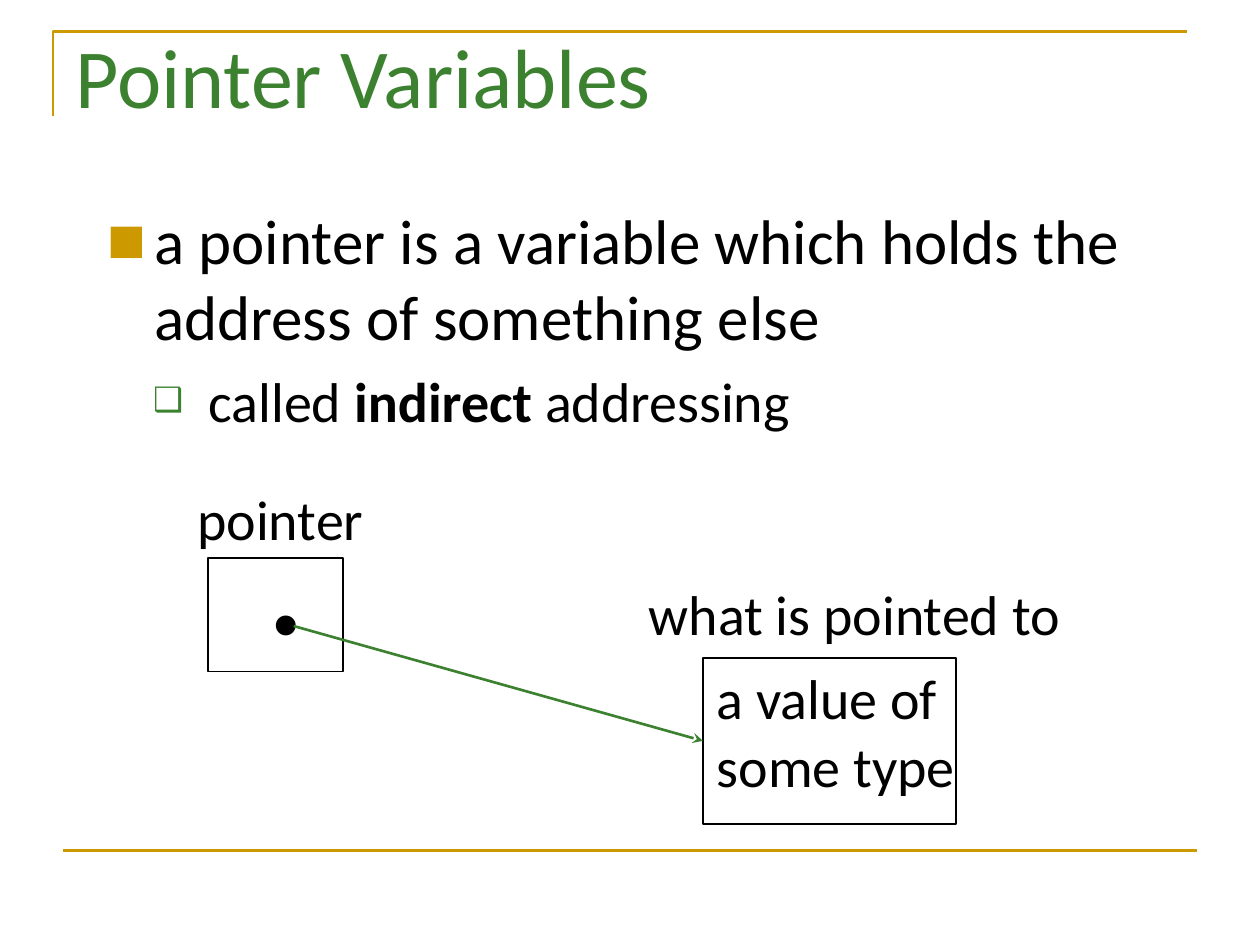
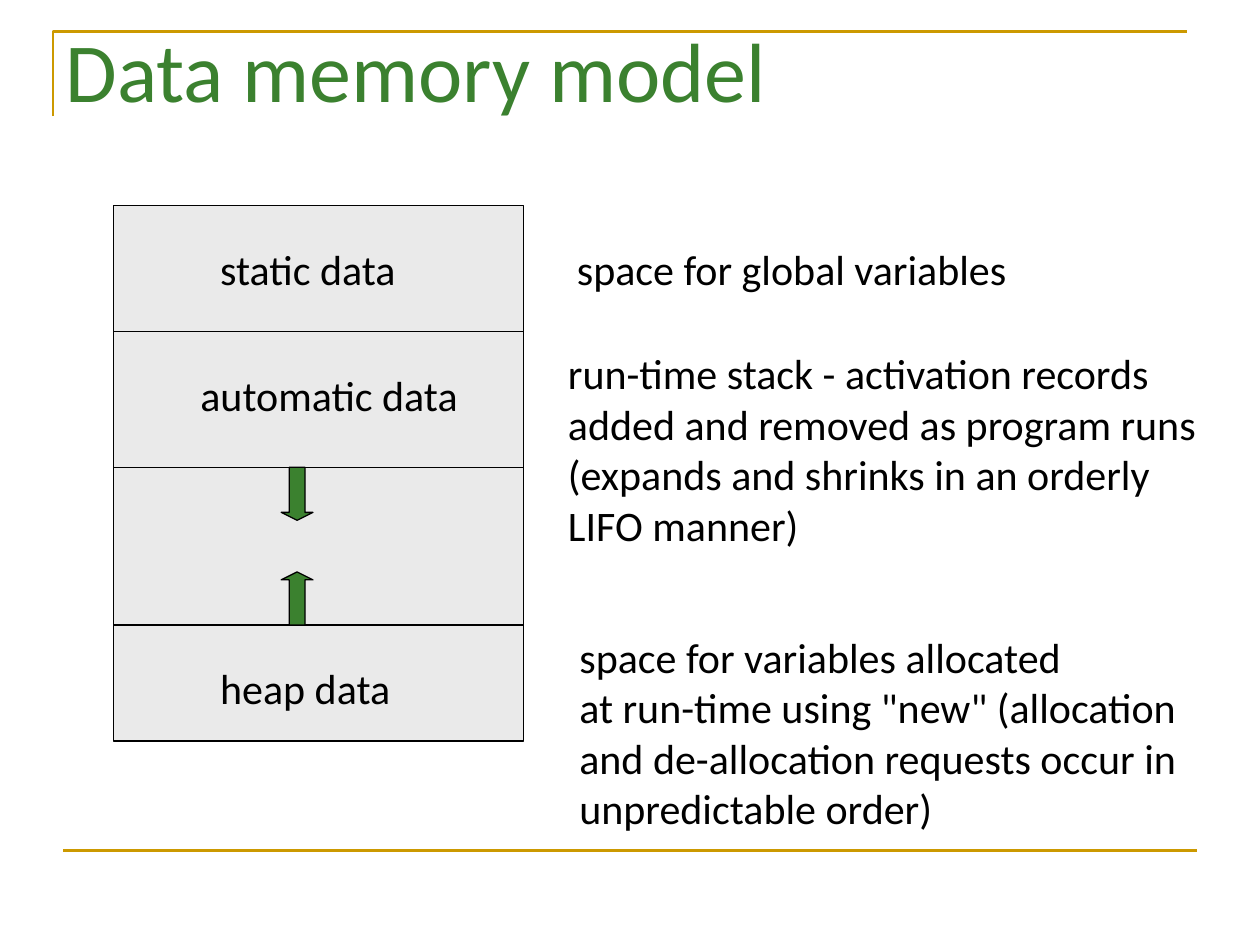
from lxml.etree import SubElement as Sub
from pptx import Presentation
from pptx.dml.color import RGBColor as RGB
from pptx.enum.shapes import MSO_CONNECTOR as Conn, MSO_SHAPE as Shape
from pptx.enum.text import MSO_AUTO_SIZE as Auto, PP_ALIGN as Align
from pptx.oxml.ns import qn
from pptx.util import Cm, Pt

HUES = {"gold": "CC9900", "green": "3B812F", "black": "000000",
        "gray": "EAEAEA"}
FACE = "Calibri"


def hue(name):
    return RGB.from_string(HUES[name])


# Shared building blocks
def add_run(par, text, size, color="black", face=FACE, bold=False):
    run = par.add_run()
    run.text = text
    run.font.size = Pt(size)
    run.font.name = face
    run.font.bold = bold
    run.font.color.rgb = hue(color)


def add_box(slide, x, y, wide, high, wrap=True):
    box = slide.shapes.add_textbox(Cm(x), Cm(y), Cm(wide), Cm(high))
    frame = box.text_frame
    frame.word_wrap = wrap
    frame.auto_size = Auto.NONE if wrap else Auto.SHAPE_TO_FIT_TEXT
    return frame


def add_label(slide, x, y, wide, high, lines, size, align=Align.LEFT):
    frame = add_box(slide, x, y, wide, high, wrap=False)
    for i, line in enumerate(lines):
        par = frame.add_paragraph() if i else frame.paragraphs[0]
        par.alignment = align
        add_run(par, line, size)


def add_bullet(par, mark, color, share, left, hang):
    props = par._p.get_or_add_pPr()
    props.set("marL", str(Cm(left)))
    props.set("indent", str(-Cm(hang)))
    tint = Sub(props, qn("a:buClr"))
    Sub(tint, qn("a:srgbClr"), val=HUES[color])
    Sub(props, qn("a:buSzPct"), val=str(share * 1000))
    Sub(props, qn("a:buFont"), typeface=FACE)
    Sub(props, qn("a:buChar"), char=mark)


def add_form(slide, kind, x, y, wide, high, fill=None, weight=0.75):
    form = slide.shapes.add_shape(kind, Cm(x), Cm(y), Cm(wide), Cm(high))
    form.shadow.inherit = False
    if fill:
        form.fill.solid()
        form.fill.fore_color.rgb = hue(fill)
    else:
        form.fill.background()
    form.line.color.rgb = hue("black")
    form.line.width = Pt(weight)
    return form


def add_line(slide, x1, y1, x2, y2, color, weight):
    line = slide.shapes.add_connector(Conn.STRAIGHT, Cm(x1), Cm(y1),
                                      Cm(x2), Cm(y2))
    line.line.color.rgb = hue(color)
    line.line.width = Pt(weight)
    Sub(line._element.spPr, qn("a:effectLst"))
    return line


# Gold corner, title and foot rule
def add_page(deck, title, x, y, wide):
    slide = deck.slides.add_slide(deck.slide_layouts[6])
    left, top = Cm(1.07), Cm(0.64)
    pen = slide.shapes.build_freeform(left, top + Cm(1.7))
    pen.add_line_segments([(left, top), (left + Cm(22.86), top)], close=False)
    corner = pen.convert_to_shape()
    corner.shadow.inherit = False
    corner.fill.background()
    corner.line.color.rgb = hue("gold")
    corner.line.width = Pt(1.5)
    add_line(slide, 1.27, 17.15, 24.13, 17.15, "gold", 1.5)

    par = add_box(slide, x, y, wide, 3.18).paragraphs[0]
    par.line_spacing = 0.8
    add_run(par, title, 48, "green")
    return slide


# Bulleted definition
def add_points(slide, x, y, wide, high):
    frame = add_box(slide, x, y, wide, high)
    par = frame.paragraphs[0]
    add_bullet(par, "■", "gold", 65, 0.95, 0.95)
    add_run(par, "a pointer is a variable which holds the address of "
                 "something else", 36)
    par = frame.add_paragraph()
    add_bullet(par, "❑", "green", 60, 2.04, 1.11)
    par.space_before = Pt(8)
    add_run(par, "called ", 32)
    add_run(par, "indirect ", 32, bold=True)
    add_run(par, "addressing", 32)


# Pointer cell with an arrow to its target
def add_target(slide, x, y):
    dot = add_box(slide, x + 1.37, y, 1.37, 4.32).paragraphs[0]
    dot.alignment = Align.CENTER
    add_run(dot, ".", 96, face="Times New Roman")
    add_form(slide, Shape.RECTANGLE, x + 0.48, y + 2, 2.72, 2.29, weight=1)
    value = add_form(slide, Shape.RECTANGLE, x + 10.46, y + 4.01, 5.11, 3.35,
                     weight=1)
    arrow = add_line(slide, x + 2.21, y + 3.37, x + 10.46, y + 5.69,
                     "green", 1.5)
    arrow.end_connect(value, 1)
    Sub(arrow.line._get_or_add_ln(), qn("a:tailEnd"), type="stealth")
    add_label(slide, x, y + 0.4, 3.89, 1.6, ["pointer"], 32, Align.CENTER)
    add_label(slide, x + 9.12, y + 2.31, 8.86, 1.6, ["what is pointed to"], 32)
    add_label(slide, x + 10.49, y + 4.01, 5.31, 2.97,
              ["a value of", "some type"], 32)


# Memory column split into bands
def add_memory(slide, x, y, wide, high):
    add_form(slide, Shape.RECTANGLE, x, y, wide, high, "gray")
    cuts = [2.54, 5.28, 8.46]
    for cut in cuts:
        add_line(slide, x, y + cut, x + wide, y + cut, "black", 0.75)
    long = 1.07
    for kind, top in ((Shape.DOWN_ARROW, cuts[1]),
                      (Shape.UP_ARROW, cuts[2] - long)):
        arrow = add_form(slide, kind, x + 3.38, y + top, 0.64, long, "green")
        arrow.adjustments[0] = 0.5
        arrow.adjustments[1] = 0.25
    for text, dx, dy, span in (("static data", 1.9, 0.64, 4.09),
                               ("automatic data", 1.5, 3.18, 5.72),
                               ("heap data", 1.9, 9.09, 3.94)):
        add_label(slide, x + dx, y + dy, span, 1.27, [text], 24)


# Remarks beside the memory column
def add_notes(slide, x, y):
    add_label(slide, x + 0.18, y, 9.19, 1.27, ["space for global variables"],
              24)
    add_label(slide, x, y + 2.11, 13.21, 4.32,
              ["run-time stack - activation records",
               "added and removed as program runs",
               "(expands and shrinks in an orderly",
               "LIFO manner)"], 24)
    add_label(slide, x + 0.23, y + 7.82, 12.57, 4.32,
              ["space for variables allocated",
               'at run-time using "new" (allocation',
               "and de-allocation requests occur in",
               "unpredictable order)"], 24)


def main():
    deck = Presentation()
    deck.slide_width, deck.slide_height = Cm(25.4), Cm(19.05)

    slide = add_page(deck, "Pointer Variables", 1.27, 0.76, 22.86)
    add_points(slide, 1.91, 3.94, 21.59, 11.43)
    add_target(slide, 3.71, 9.25)

    slide = add_page(deck, "Data memory model", 1.07, 0.64, 23.44)
    add_memory(slide, 2.29, 4.14, 8.26, 10.8)
    add_notes(slide, 11.2, 4.78)

    deck.save("out.pptx")


if __name__ == "__main__":
    main()
